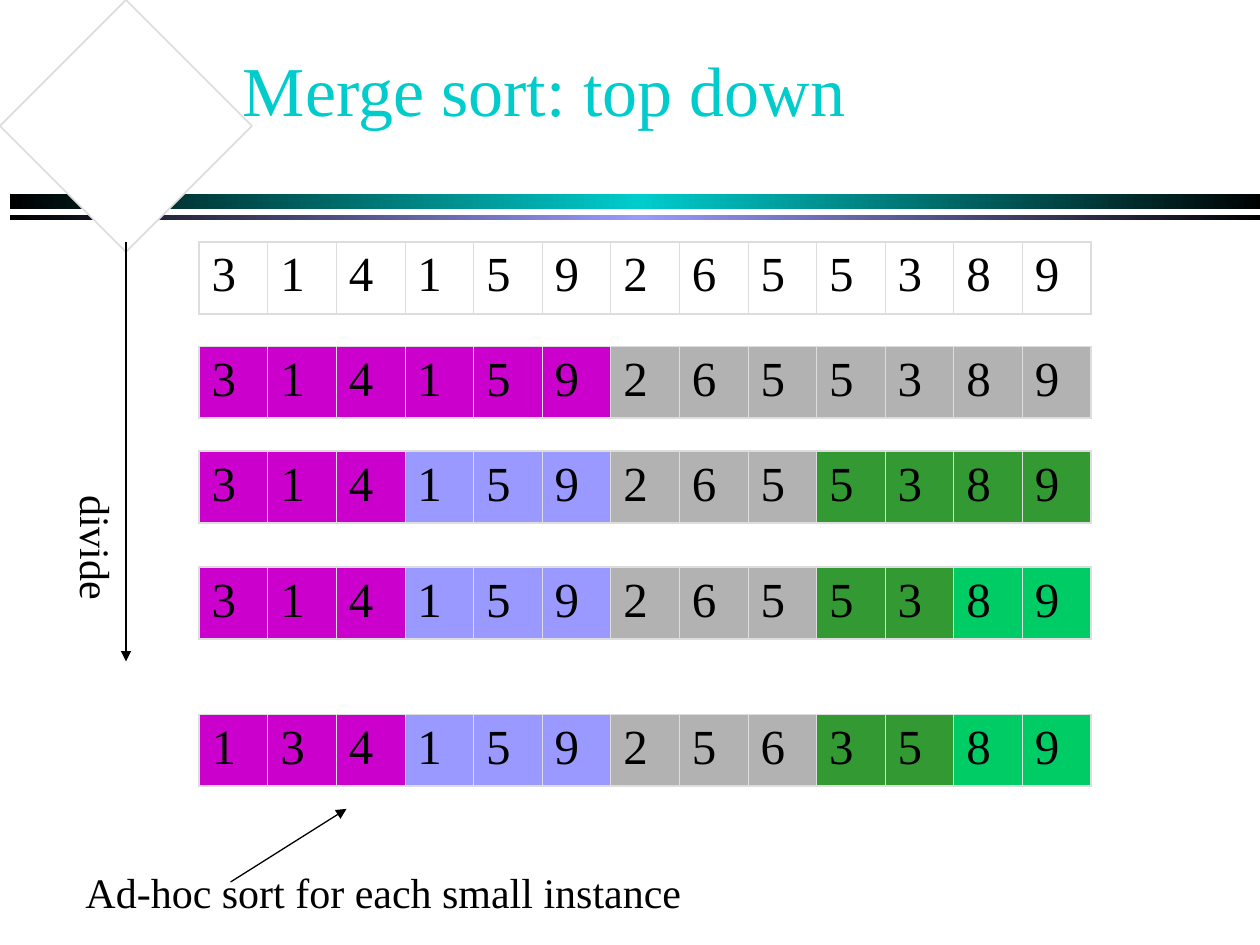
from copy import deepcopy

from lxml import etree
from pptx import Presentation
from pptx import util as u
from pptx.dml.color import RGBColor
from pptx.enum import shapes, text
from pptx.oxml.ns import qn

COLORS = {
    "black": "000000", "teal": "00CCCC", "edge": "DDDDDD", "white": "FFFFFF",
    "magenta": "CC00CC", "violet": "9999FF", "gray": "B2B2B2",
    "forest": "339933", "mint": "00CC66",
}
DIGITS = "3141592655389"
SORTED_RUNS = "1341592563589"
THIRDS = [("magenta", 3), ("violet", 3), ("gray", 3)]
SMALL_RUNS = THIRDS + [("forest", 2), ("mint", 2)]

# Top edge, digits, and the (color, length) of each part
ARRAYS = [
    (1.92, DIGITS, [(None, 13)]),
    (2.75, DIGITS, [("magenta", 6), ("gray", 7)]),
    (3.58, DIGITS, THIRDS + [("forest", 4)]),
    (4.5, DIGITS, SMALL_RUNS),
    (5.67, SORTED_RUNS, SMALL_RUNS),
]


def rgb(name):
    return RGBColor.from_string(COLORS[name])


class SlideBuilder:
    font = "Times New Roman"

    def __init__(self, page):
        self.page = page

    def style(self, para, size, color="black"):
        for span in para.runs:
            span.font.name = self.font
            span.font.size = u.Pt(size)
            span.font.color.rgb = rgb(color)

    def bar(self, top, height, middle):
        """A band that fades from black to the middle color and back."""
        band = self.page.shapes.add_shape(
            shapes.MSO_SHAPE.RECTANGLE,
            u.Inches(0.08), u.Inches(top), u.Inches(9.99), u.Inches(height))
        band.shadow.inherit = False
        band.line.fill.background()
        band.fill.gradient()
        band.fill.gradient_angle = 0
        stop_list = next(band.element.iter(qn("a:gsLst")))
        stop_list.append(deepcopy(stop_list[0]))
        colors = ("black", middle, "black")
        for stop, color, place in zip(band.fill.gradient_stops, colors, (0, 0.5, 1)):
            stop.color.rgb = rgb(color)
            stop.position = place

    def outline(self, points):
        start, *rest = points
        builder = self.page.shapes.build_freeform(*start, scale=u.Inches(1))
        builder.add_line_segments(rest, close=True)
        shape = builder.convert_to_shape()
        shape.shadow.inherit = False
        shape.fill.solid()
        shape.fill.fore_color.rgb = rgb("white")
        shape.line.color.rgb = rgb("edge")
        shape.line.width = u.Pt(1)

    def label(self, words, left, top, width, height, size=24, color="black"):
        box = self.page.shapes.add_textbox(
            u.Inches(left), u.Inches(top), u.Inches(width), u.Inches(height))
        frame = box.text_frame
        frame.text = words
        frame.word_wrap = False
        frame.auto_size = text.MSO_AUTO_SIZE.SHAPE_TO_FIT_TEXT
        self.style(frame.paragraphs[0], size, color)
        return frame

    def title(self, words):
        frame = self.label(words, 1.83, 0.08, 8.5, 1.25, 40, "teal")
        frame.word_wrap = True
        frame.auto_size = text.MSO_AUTO_SIZE.NONE
        frame.vertical_anchor = text.MSO_ANCHOR.MIDDLE
        # Text shadow, placed right after the text color
        fill = next(frame.paragraphs[0].runs[0].font.fill._xPr.iter(qn("a:solidFill")))
        effects = etree.Element(qn("a:effectLst"))
        shadow = etree.SubElement(effects, qn("a:outerShdw"),
                                  dist="17961", dir="2700000")
        etree.SubElement(shadow, qn("a:srgbClr"), val=COLORS["black"])
        fill.addnext(effects)

    def vertical_label(self, words, left, top, width, height):
        frame = self.label(words, left, top, width, height)
        frame.margin_left = frame.margin_right = u.Inches(0.05)
        frame.margin_top = frame.margin_bottom = u.Inches(0.1)
        next(frame._txBody.iter(qn("a:bodyPr"))).set("vert", "eaVert")

    def arrow(self, x1, y1, x2, y2):
        line = self.page.shapes.add_connector(
            shapes.MSO_CONNECTOR.STRAIGHT,
            u.Inches(x1), u.Inches(y1), u.Inches(x2), u.Inches(y2))
        line.line.color.rgb = rgb("black")
        line.line.width = u.Pt(0.75)
        etree.SubElement(line.line._get_or_add_ln(), qn("a:tailEnd"), type="triangle")
        etree.SubElement(line.element.spPr, qn("a:effectLst"))

    def borders(self, cell, first, last):
        props = cell._tc.get_or_add_tcPr()
        widths = {"L": 1.08 if first else 0.45, "R": 1.08 if last else 0.45,
                  "T": 1.08, "B": 1.08}
        for place, (side, width) in enumerate(widths.items()):
            edge = etree.Element(qn(f"a:ln{side}"), w=str(int(u.Pt(width))))
            fill = etree.SubElement(edge, qn("a:solidFill"))
            etree.SubElement(fill, qn("a:srgbClr"), val=COLORS["edge"])
            props.insert(place, edge)

    def array(self, top, digits, parts):
        """A one-row table of digits, colored part by part."""
        count = len(digits)
        table = self.page.shapes.add_table(
            1, count, u.Inches(1.58), u.Inches(top),
            u.Inches(7.08), u.Inches(0.57)).table
        table.first_row = table.horz_banding = False
        fills = [color for color, length in parts for _ in range(length)]
        for i, (digit, color) in enumerate(zip(digits, fills)):
            table.columns[i].width = u.Inches(7.08 / count)
            cell = table.cell(0, i)
            cell.text = digit
            para = cell.text_frame.paragraphs[0]
            para.space_before = u.Pt(7)
            self.style(para, 28)
            if color:
                cell.fill.solid()
                cell.fill.fore_color.rgb = rgb(color)
            else:
                cell.fill.background()
            self.borders(cell, i == 0, i == count - 1)


def main():
    deck = Presentation()
    deck.slide_width, deck.slide_height = u.Inches(10), u.Inches(7.5)
    slide = SlideBuilder(deck.slides.add_slide(deck.slide_layouts[6]))

    # Header decoration and title
    slide.bar(1.54, 0.12, "teal")
    slide.bar(1.71, 0.04, "violet")
    slide.outline([(0.97, 1.51), (0.02, 0.71), (0.77, 0.06), (1.65, 0.57)])
    slide.title("Merge sort: top down")

    # Array at each step
    for top, digits, parts in ARRAYS:
        slide.array(top, digits, parts)

    # Divide direction
    slide.arrow(1, 1.92, 1, 5.25)
    slide.vertical_label("divide", 0.42, 3.83, 0.6, 0.94)

    # Note on the last array
    slide.label("Ad-hoc sort for each small instance", 0.58, 6.83, 4.93, 0.5)
    slide.arrow(1.83, 7, 2.75, 6.42)

    deck.save("out.pptx")


if __name__ == "__main__":
    main()
